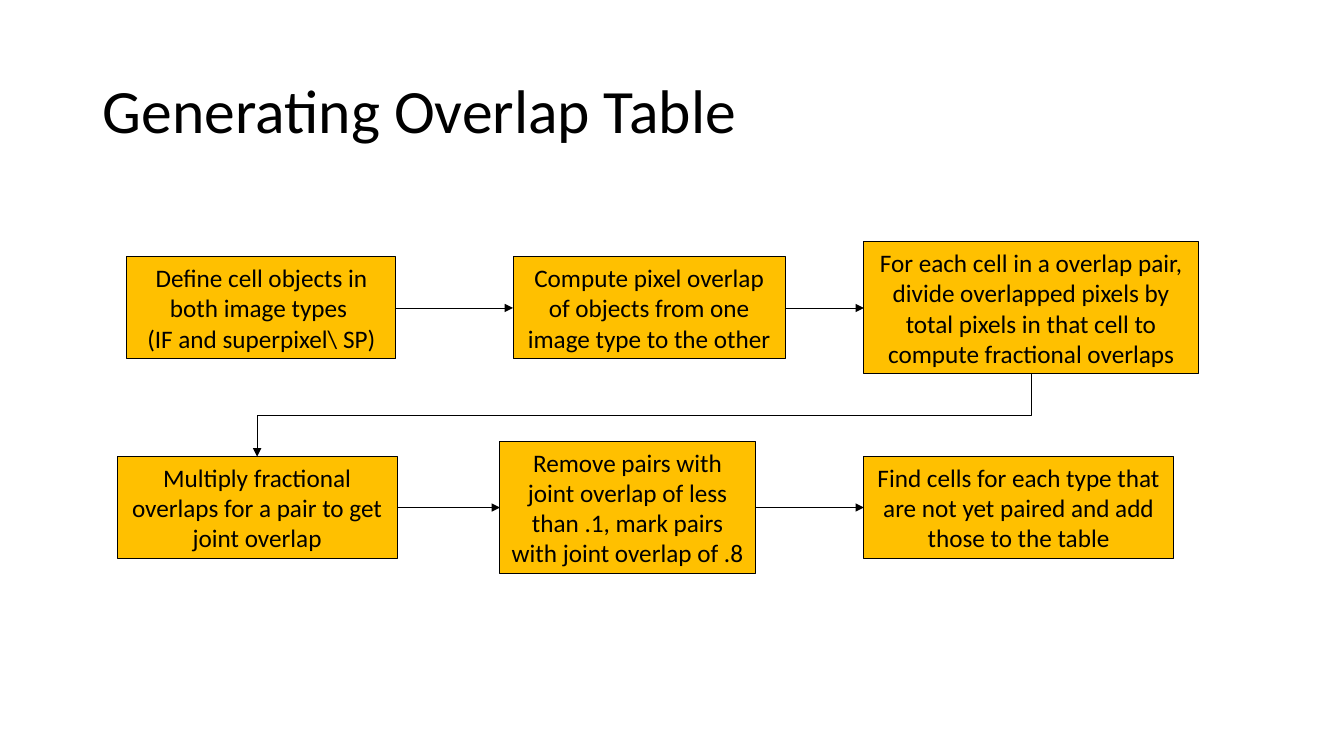
from dataclasses import dataclass
from itertools import pairwise

from lxml.etree import SubElement
from pptx import Presentation
from pptx.dml.color import RGBColor
from pptx.enum.shapes import MSO_CONNECTOR, MSO_SHAPE
from pptx.enum.text import MSO_ANCHOR, MSO_AUTO_SIZE, PP_ALIGN
from pptx.oxml.ns import qn
from pptx.shapes.autoshape import Shape
from pptx.shapes.connector import Connector
from pptx.slide import Slide
from pptx.text.text import TextFrame
from pptx.util import Cm, Length, Pt


@dataclass(frozen=True)
class Theme:
    """Colours, font and sizes of the slide."""
    ink: RGBColor = RGBColor(0, 0, 0)
    gold: RGBColor = RGBColor(0xFF, 0xC0, 0)
    font: str = "Calibri"
    head: Length = Pt(44)
    body: Length = Pt(18)
    edge: Length = Pt(0.75)
    link: Length = Pt(0.5)


@dataclass(frozen=True)
class Step:
    """One box of the flow, centred on its row; lengths in cm."""
    text: str
    left: float
    width: float
    row: float
    lines: int = 3


THEME = Theme()
TOP_ROW, LOW_ROW = 7.76, 12.79
HEIGHTS = {3: 2.57, 4: 3.33}  # box height by count of text lines
TOP, LEFT, BOTTOM, RIGHT = range(4)  # connection sites of a rectangle

STEPS = [
    Step("Define cell objects in both image types \n(IF and superpixel\\ SP)",
         3.2, 6.78, TOP_ROW),
    Step("Compute pixel overlap of objects from one image type to the other",
         12.93, 6.86, TOP_ROW),
    Step("For each cell in a overlap pair, divide overlapped pixels by total "
         "pixels in that cell to compute fractional overlaps",
         21.77, 8.43, TOP_ROW, 4),
    Step("Multiply fractional overlaps for a pair to get joint overlap",
         2.95, 7.06, LOW_ROW),
    Step("Remove pairs with joint overlap of less than .1, mark pairs with "
         "joint overlap of .8", 12.6, 6.43, LOW_ROW, 4),
    Step("Find cells for each type that are not yet paired and add those to "
         "the table", 21.77, 7.8, LOW_ROW),
]


def write(frame: TextFrame, text: str, size: Length, align: PP_ALIGN) -> None:
    """Fill a text frame and format its runs."""
    frame.text = text
    frame.word_wrap = True
    frame.vertical_anchor = MSO_ANCHOR.MIDDLE
    for para in frame.paragraphs:
        para.alignment = align
        for run in para.runs:
            run.font.name = THEME.font
            run.font.size = size
            run.font.color.rgb = THEME.ink


def add_title(slide: Slide, text: str) -> None:
    """Place and fill the title placeholder."""
    title = slide.shapes.title
    title.left, title.top = Cm(2.34), Cm(1.01)
    title.width, title.height = Cm(29.21), Cm(3.68)
    write(title.text_frame, text, THEME.head, PP_ALIGN.LEFT)
    title.text_frame.paragraphs[0].line_spacing = 0.9


def add_step(slide: Slide, step: Step) -> Shape:
    """Draw one box of the flow."""
    high = HEIGHTS[step.lines]
    box = slide.shapes.add_shape(
        MSO_SHAPE.RECTANGLE, Cm(step.left), Cm(step.row - high / 2),
        Cm(step.width), Cm(high))
    box.shadow.inherit = False
    box.fill.solid()
    box.fill.fore_color.rgb = THEME.gold
    box.line.color.rgb = THEME.ink
    box.line.width = THEME.edge
    write(box.text_frame, step.text, THEME.body, PP_ALIGN.CENTER)
    box.text_frame.auto_size = MSO_AUTO_SIZE.SHAPE_TO_FIT_TEXT
    return box


def turn(link: Connector) -> None:
    """Turn an elbow so that it leaves downwards instead of sideways."""
    wide, high = link.width, link.height
    link.left += (wide - high) // 2
    link.top += (high - wide) // 2
    link.width, link.height = high, wide
    frame = link._element.spPr.find(qn("a:xfrm"))
    frame.attrib.pop("flipH", None)
    frame.set("rot", str(90 * 60000))


def add_link(slide: Slide, start: Shape, end: Shape, wrap: bool) -> None:
    """Join two boxes by an arrow, bent when it wraps to the next row."""
    kind = MSO_CONNECTOR.ELBOW if wrap else MSO_CONNECTOR.STRAIGHT
    link = slide.shapes.add_connector(kind, 0, 0, 0, 0)
    link.begin_connect(start, BOTTOM if wrap else RIGHT)
    link.end_connect(end, TOP if wrap else LEFT)
    if wrap:
        turn(link)
    link.line.color.rgb = THEME.ink
    link.line.width = THEME.link
    SubElement(link.line._get_or_add_ln(), qn("a:tailEnd"), type="triangle")
    SubElement(link._element.spPr, qn("a:effectLst"))


def main() -> None:
    """Build the slide and save it."""
    deck = Presentation()
    deck.slide_width, deck.slide_height = Cm(33.87), Cm(19.05)
    slide = deck.slides.add_slide(deck.slide_layouts[5])
    add_title(slide, "Generating Overlap Table")
    boxes = [add_step(slide, step) for step in STEPS]
    for (one, two), (start, end) in zip(pairwise(STEPS), pairwise(boxes)):
        add_link(slide, start, end, wrap=one.row != two.row)
    deck.save("out.pptx")


main()
